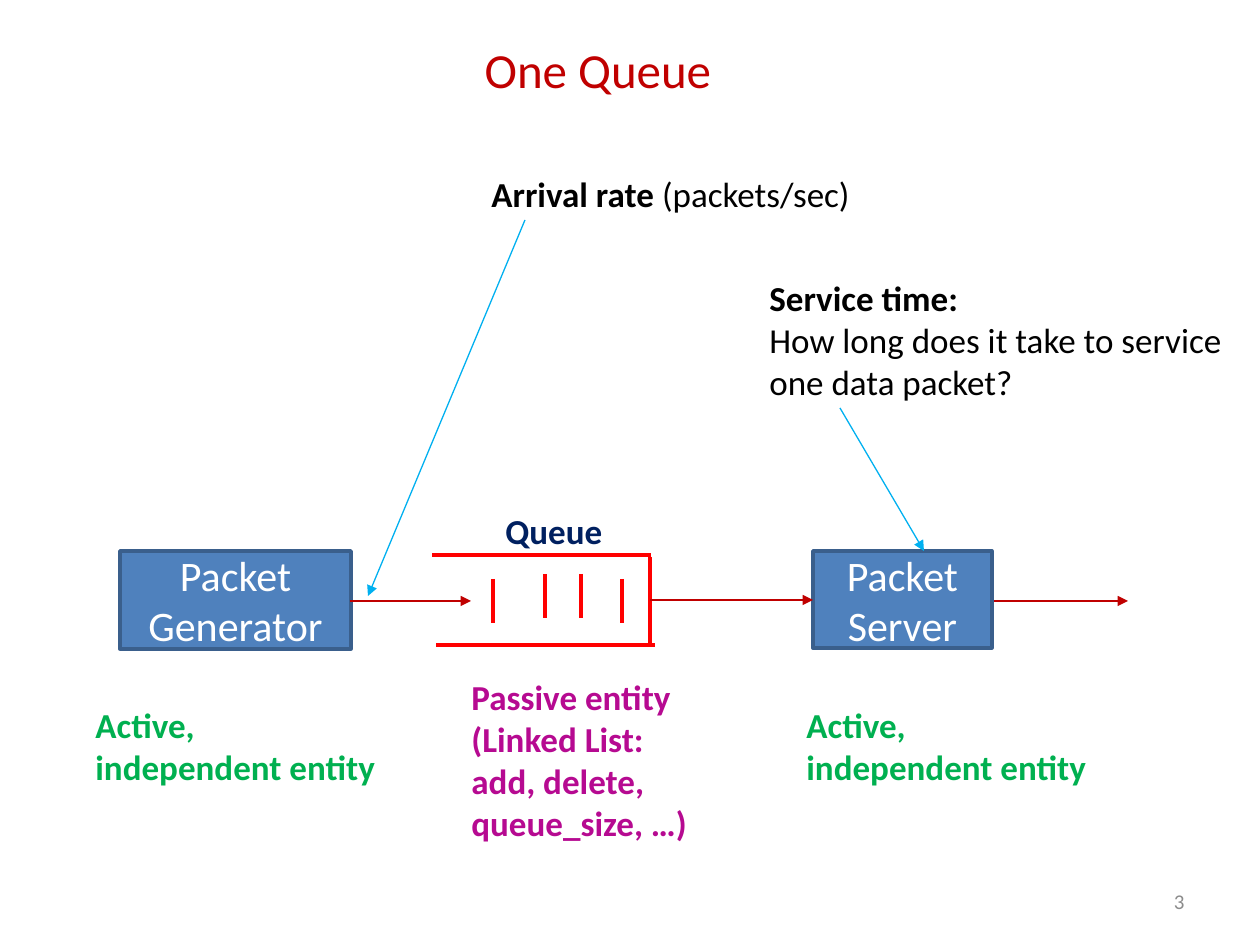
from lxml.etree import SubElement
from pptx import Presentation
from pptx.dml.color import RGBColor
from pptx.enum.shapes import MSO_CONNECTOR as Connector, MSO_SHAPE as Shape
from pptx.enum.text import MSO_ANCHOR as Anchor, MSO_AUTO_SIZE as AutoSize, PP_ALIGN as Align
from pptx.oxml.ns import qn
from pptx.util import Emu, Pt

EMU_PER_PX = 914400 / 126
FONT = "Calibri"
RED, DARK_RED, SKY = "FF0000", "C00000", "00B0F0"
GREEN, PURPLE, NAVY, BLACK = "00B050", "B60A91", "002060", "000000"
WHITE, GRAY, BLUE, EDGE = "FFFFFF", "8C8C8C", "4F81BD", "3A5F8C"


def px(*lengths):
    return [Emu(round(length * EMU_PER_PX)) for length in lengths]


def paint(color_format, color):
    color_format.rgb = RGBColor.from_string(color)


def write(frame, lines, size, color, align=Align.LEFT, anchor=Anchor.TOP):
    """Each line is a (bold part, plain part) pair."""
    frame.vertical_anchor = anchor
    for index, parts in enumerate(lines):
        para = frame.paragraphs[0] if index == 0 else frame.add_paragraph()
        para.alignment = align
        for part, bold in zip(parts, (True, False)):
            if part:
                span = para.add_run()
                span.text = part
                span.font.name, span.font.size, span.font.bold = FONT, Pt(size), bold
                paint(span.font.color, color)


def add_title(slide, text, bounds):
    title = slide.shapes.title
    title.left, title.top, title.width, title.height = px(*bounds)
    title.text_frame.auto_size = AutoSize.NONE
    title.text_frame.word_wrap = False
    write(title.text_frame, [("", text)], 28, DARK_RED)


def add_label(slide, bounds, lines, color):
    box = slide.shapes.add_textbox(*px(*bounds))
    box.text_frame.word_wrap = False
    box.text_frame.auto_size = AutoSize.SHAPE_TO_FIT_TEXT
    write(box.text_frame, lines, 20, color)


def add_number(slide, text, bounds):
    box = slide.shapes.add_textbox(*px(*bounds))
    box.text_frame.word_wrap = True
    write(box.text_frame, [("", text)], 12, GRAY, Align.RIGHT, Anchor.MIDDLE)


def add_block(slide, bounds, words):
    block = slide.shapes.add_shape(Shape.RECTANGLE, *px(*bounds))
    block.shadow.inherit = False
    block.fill.solid()
    paint(block.fill.fore_color, BLUE)
    paint(block.line.color, EDGE)
    block.line.width = Pt(2)
    write(block.text_frame, [("", word) for word in words], 24, WHITE,
          Align.CENTER, Anchor.MIDDLE)


def add_line(shapes, ends, color, width, arrow=False):
    line = shapes.add_connector(Connector.STRAIGHT, *px(*ends))
    paint(line.line.color, color)
    line.line.width = Pt(width)
    if arrow:
        SubElement(line.line._get_or_add_ln(), qn("a:tailEnd"), type="triangle")
    SubElement(line._element.spPr, qn("a:effectLst"))


def add_queue(slide):
    group = slide.shapes.add_group_shape()
    walls = [(650, 557, 650, 645), (655, 645, 436, 645), (651, 555, 432, 555)]
    packets = [(x, y, x, y + 44) for x, y in
               ((622, 579), (581, 574), (545, 574), (493, 579))]
    for ends in walls + packets:
        add_line(group.shapes, ends, RED, 2.25)


def main():
    deck = Presentation()
    deck.slide_width, deck.slide_height = px(1260, 945)
    slide = deck.slides.add_slide(deck.slide_layouts[5])

    add_number(slide, "3", (903, 876, 294, 50))
    add_title(slide, "One Queue", (472, 33, 255, 72))

    # Generator, queue and server
    add_block(slide, (120, 551, 231, 98), ("Packet", "Generator"))
    add_queue(slide)
    add_block(slide, (813, 551, 179, 97), ("Packet", "Server"))

    # Packet flow
    for ends in ((350, 601, 471, 601), (650, 600, 813, 600), (994, 601, 1128, 601)):
        add_line(slide.shapes, ends, DARK_RED, 1.5, arrow=True)

    # Entity descriptions
    for left in (83, 794):
        add_label(slide, (left, 697, 307, 97),
                  [("Active,", ""), ("independent entity", "")], GREEN)
    add_label(slide, (459, 669, 243, 183),
              [("Passive entity", ""), ("(Linked List:", ""),
               ("add, delete,", ""), ("queue_size, …)", "")], PURPLE)
    add_label(slide, (493, 503, 123, 55), [("Queue", "")], NAVY)

    # Parameters and their pointers
    add_label(slide, (479, 166, 388, 55), [("Arrival rate", " (packets/sec)")], BLACK)
    add_label(slide, (757, 270, 481, 140),
              [("Service time:", ""), ("", "How long does it take to service"),
               ("", "one data packet?")], BLACK)
    for ends in ((525, 220, 368, 596), (840, 408, 924, 551)):
        add_line(slide.shapes, ends, SKY, 0.75, arrow=True)

    deck.save("out.pptx")


if __name__ == "__main__":
    main()
